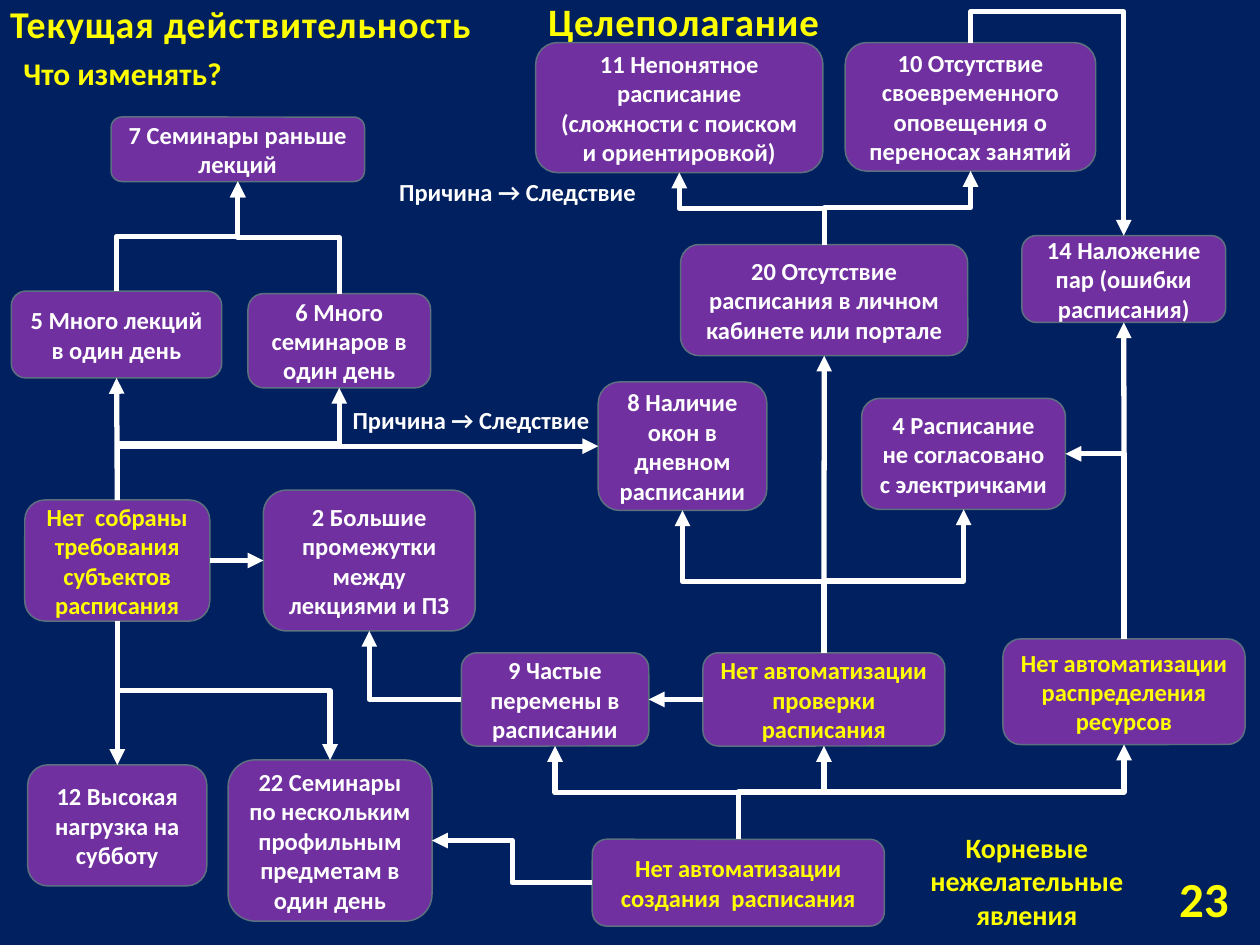
from dataclasses import dataclass
from enum import Enum

from lxml import etree
from pptx import Presentation
from pptx import util as u
from pptx.dml.color import RGBColor
from pptx.enum import shapes, text
from pptx.oxml import ns

NAVY = RGBColor(0x00, 0x20, 0x60)
PURPLE = RGBColor(0x70, 0x30, 0xA0)
OUTLINE = RGBColor(0x5D, 0x70, 0x80)
YELLOW = RGBColor(0xFF, 0xFF, 0x00)
WHITE = RGBColor(0xFF, 0xFF, 0xFF)
FONT = "Calibri"
ALIGN = text.PP_ALIGN
ANCHOR = text.MSO_ANCHOR


class Route(Enum):
    STRAIGHT = 0
    HORIZONTAL = 1
    VERTICAL = 2


@dataclass(frozen=True)
class Box:
    left: float
    top: float
    width: float
    height: float
    wording: str
    color: RGBColor = WHITE

    def side(self, name: str) -> tuple[float, float]:
        across, down = {"top": (0.5, 0), "bottom": (0.5, 1),
                        "left": (0, 0.5), "right": (1, 0.5)}[name]
        return self.left + across * self.width, self.top + down * self.height


@dataclass(frozen=True)
class Arrow:
    effect: str
    effect_side: str
    cause: str
    cause_side: str
    route: Route
    corner: bool = False
    bend: float = 0.5


@dataclass(frozen=True)
class Label:
    left: float
    top: float
    width: float
    height: float
    wording: str
    size: float
    color: RGBColor = YELLOW
    align: ALIGN = ALIGN.CENTER
    anchor: ANCHOR = ANCHOR.TOP
    wrap: bool = True
    spacing: int = 0
    line_spacing: float = 1.0


BOXES = {
    "gaps": Box(5.31, 9.88, 4.27, 2.84, "2 Большие промежутки между лекциями и ПЗ"),
    "trains": Box(17.37, 8.03, 4.11, 2.24, "4 Расписание не согласовано с электричками"),
    "lectures": Box(0.23, 5.87, 4.24, 1.75, "5 Много лекций в один день"),
    "early": Box(2.24, 2.36, 5.11, 1.3, "7 Семинары раньше лекций"),
    "seminars": Box(5, 5.92, 3.68, 1.9, "6 Много семинаров в один день"),
    "windows": Box(12.06, 7.7, 3.4, 2.59, "8 Наличие окон в дневном расписании"),
    "changes": Box(9.3, 13.16, 3.78, 1.88, "9 Частые перемены в расписании"),
    "notice": Box(17.04, 0.86, 5.05, 2.59,
                  "10 Отсутствие своевременного оповещения о переносах занятий"),
    "unclear": Box(10.8, 0.86, 5.79, 2.62,
                   "11 Непонятное расписание (сложности с поиском и ориентировкой)"),
    "saturday": Box(0.56, 15.42, 3.61, 2.44, "12 Высокая нагрузка на субботу"),
    "overlap": Box(20.6, 4.75, 4.11, 1.75, "14 Наложение пар (ошибки расписания)"),
    "account": Box(13.72, 4.93, 5.79, 2.24,
                   "20 Отсутствие расписания в личном кабинете или портале"),
    "profile": Box(4.6, 15.32, 4.11, 3.25,
                   "22 Семинары по нескольким профильным предметам в один день"),
    "resources": Box(20.22, 12.88, 4.88, 2.13,
                     "Нет автоматизации распределения ресурсов", YELLOW),
    "creation": Box(11.94, 16.92, 5.89, 1.75,
                    "Нет автоматизации создания  расписания", YELLOW),
    "checking": Box(14.17, 13.16, 4.88, 1.88,
                    "Нет автоматизации проверки расписания", YELLOW),
    "requirements": Box(0.5, 10.08, 3.73, 2.44,
                        "Нет  собраны требования субъектов расписания", YELLOW),
}

RISING = [
    ("early", "lectures"), ("early", "seminars"),
    ("unclear", "account"), ("notice", "account"),
    ("windows", "checking"), ("trains", "checking"),
    ("changes", "creation"), ("checking", "creation"), ("resources", "creation"),
    ("seminars", "requirements"),
]
UPRIGHT = [("lectures", "requirements"), ("account", "checking"), ("overlap", "resources")]

ARROWS = [
    *(Arrow(effect, "bottom", cause, "top", Route.VERTICAL) for effect, cause in RISING),
    *(Arrow(effect, "bottom", cause, "top", Route.STRAIGHT) for effect, cause in UPRIGHT),
    Arrow("saturday", "top", "requirements", "bottom", Route.STRAIGHT),
    Arrow("profile", "top", "requirements", "bottom", Route.VERTICAL),
    Arrow("gaps", "left", "requirements", "right", Route.STRAIGHT),
    Arrow("changes", "right", "checking", "left", Route.STRAIGHT),
    Arrow("profile", "right", "creation", "left", Route.HORIZONTAL),
    Arrow("windows", "left", "requirements", "top", Route.HORIZONTAL, corner=True),
    Arrow("trains", "right", "resources", "top", Route.HORIZONTAL, corner=True),
    Arrow("gaps", "bottom", "changes", "left", Route.VERTICAL, corner=True),
    Arrow("overlap", "top", "notice", "top", Route.VERTICAL, bend=1.16),
]

TITLE = Label(-0.05, -0.13, 10.29, 1.22, "Текущая действительность", 21.6,
              align=ALIGN.LEFT, anchor=ANCHOR.MIDDLE, wrap=False, spacing=50)
LABELS = [
    Label(18.01, 16.61, 5.38, 2.31, "Корневые нежелательные явления", 16),
    Label(-0.08, 0.97, 5.11, 1.02, "Что изменять?", 18),
    Label(22.61, 17.6, 2.41, 1.02, "23", 28, align=ALIGN.RIGHT, anchor=ANCHOR.MIDDLE),
    Label(10.8, -0.08, 6.17, 1.14, "Целеполагание", 22.2, align=ALIGN.LEFT,
          anchor=ANCHOR.MIDDLE, wrap=False, spacing=50, line_spacing=0.9),
    *(Label(left, top, 5.79, 0.86, "Причина → Следствие", 14, WHITE)
      for left, top in ((7.54, 3.45), (6.6, 8.05))),
]


def write(shape, label: Label) -> None:
    frame = shape.text_frame
    frame.auto_size = text.MSO_AUTO_SIZE.NONE
    frame.word_wrap = label.wrap
    frame.vertical_anchor = label.anchor
    paragraph = frame.paragraphs[0]
    paragraph.alignment = label.align
    paragraph.line_spacing = label.line_spacing
    run = paragraph.add_run()
    run.text = label.wording
    run.font.name = FONT
    run.font.size = u.Pt(label.size)
    run.font.bold = True
    run.font.color.rgb = label.color
    if label.spacing:
        run.font._element.set("spc", str(label.spacing))


def draw_box(slide, box: Box) -> None:
    frame = (box.left, box.top, box.width, box.height)
    shape = slide.shapes.add_shape(shapes.MSO_SHAPE.ROUNDED_RECTANGLE, *map(u.Cm, frame))
    shape.shadow.inherit = False
    shape.fill.solid()
    shape.fill.fore_color.rgb = PURPLE
    shape.line.color.rgb = OUTLINE
    shape.line.width = u.Pt(0.85)
    write(shape, Label(*frame, box.wording, 14, box.color, anchor=ANCHOR.MIDDLE))


def draw_arrow(slide, arrow: Arrow) -> None:
    x1, y1 = BOXES[arrow.effect].side(arrow.effect_side)
    x2, y2 = BOXES[arrow.cause].side(arrow.cause_side)
    if arrow.route is Route.VERTICAL:
        x, y, dx, dy = (x1 + x2) / 2, (y1 + y2) / 2, (x2 - x1) / 2, (y2 - y1) / 2
        x1, y1, x2, y2 = x - dy, y + dx, x + dy, y - dx
    kind = (shapes.MSO_CONNECTOR.STRAIGHT if arrow.route is Route.STRAIGHT
            else shapes.MSO_CONNECTOR.ELBOW)
    connector = slide.shapes.add_connector(kind, *map(u.Cm, (x1, y1, x2, y2)))
    connector.line.color.rgb = WHITE
    connector.line.width = u.Pt(3)
    properties = connector._element.spPr
    if arrow.route is Route.VERTICAL:
        properties.find(ns.qn("a:xfrm")).set("rot", str(90 * 60000))
    geometry = properties.find(ns.qn("a:prstGeom"))
    if arrow.corner:
        geometry.set("prst", "bentConnector2")
    elif arrow.bend != 0.5:
        etree.SubElement(geometry.find(ns.qn("a:avLst")), ns.qn("a:gd"),
                         name="adj1", fmla=f"val {round(arrow.bend * 100000)}")
    etree.SubElement(properties.find(ns.qn("a:ln")), ns.qn("a:headEnd"), type="triangle")
    etree.SubElement(properties, ns.qn("a:effectLst"))


def draw_label(slide, label: Label) -> None:
    shape = slide.shapes.add_textbox(
        *map(u.Cm, (label.left, label.top, label.width, label.height)))
    write(shape, label)


presentation = Presentation()
presentation.slide_width, presentation.slide_height = u.Cm(25.4), u.Cm(19.05)
slide = presentation.slides.add_slide(presentation.slide_layouts[5])
slide.background.fill.solid()
slide.background.fill.fore_color.rgb = NAVY

title = slide.shapes.title
title.left, title.top = u.Cm(TITLE.left), u.Cm(TITLE.top)
title.width, title.height = u.Cm(TITLE.width), u.Cm(TITLE.height)
write(title, TITLE)
for box in BOXES.values():
    draw_box(slide, box)
for arrow in ARROWS:
    draw_arrow(slide, arrow)
for label in LABELS:
    draw_label(slide, label)

presentation.save("out.pptx")
